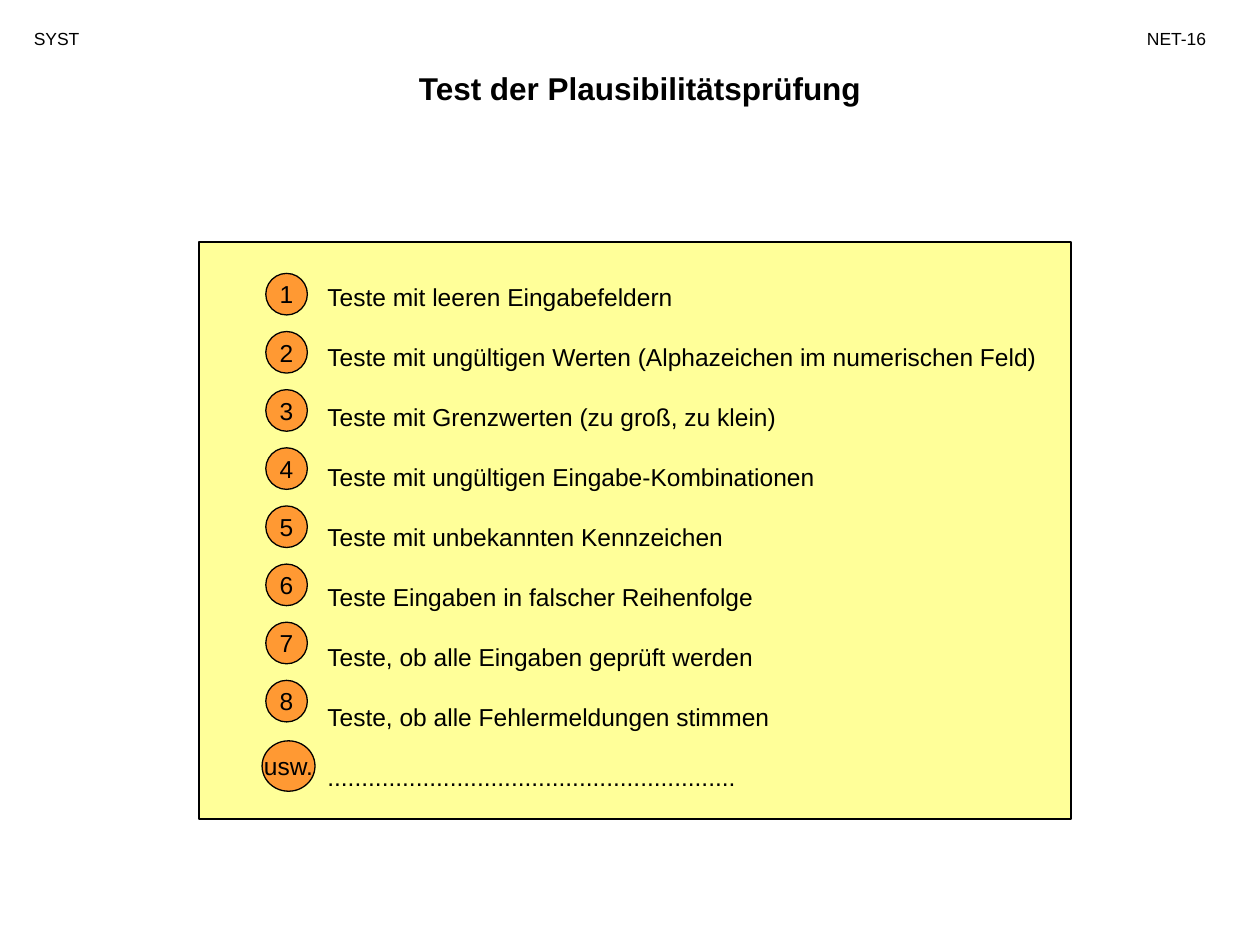
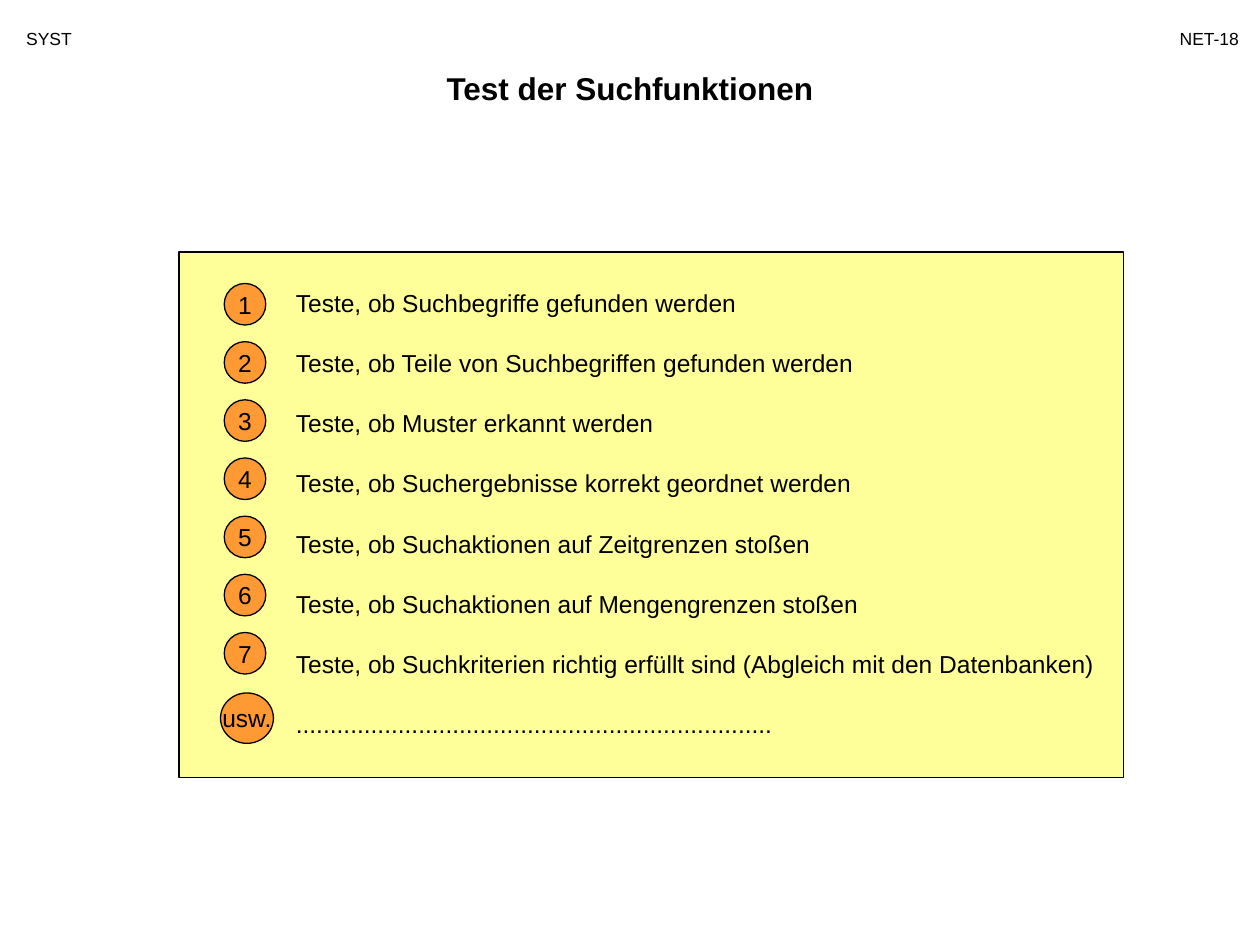
import pptx
import pptx.util
import pptx.dml.color
import pptx.enum.shapes
import pptx.enum.text

Inches = pptx.util.Inches
Pt = pptx.util.Pt
RGBColor = pptx.dml.color.RGBColor
ALIGN = pptx.enum.text.PP_ALIGN
SHAPE = pptx.enum.shapes.MSO_SHAPE

CHECKLISTS = [
    {
        "title": "Test der Plausibilitätsprüfung",
        "course": "SYST",
        "page": "NET-16",
        "tests": [
            "Teste mit leeren Eingabefeldern",
            "Teste mit ungültigen Werten (Alphazeichen im numerischen Feld)",
            "Teste mit Grenzwerten (zu groß, zu klein)",
            "Teste mit ungültigen Eingabe-Kombinationen",
            "Teste mit unbekannten Kennzeichen",
            "Teste Eingaben in falscher Reihenfolge",
            "Teste, ob alle Eingaben geprüft werden",
            "Teste, ob alle Fehlermeldungen stimmen",
            "............................................................",
        ],
        "title_box": (2.08, 0.5, 6, 0.4),
        "course_box": (0.17, 0.17, 0.92, 0.27),
        "page_box": (8.67, 0.17, 1, 0.27),
        "panel": (1.58, 1.92, 6.92, 4.58),
        "tests_box": (2.5, 2.19, 6, 4.07),
        "badge_left": 2.11,
        "badge_tops": (2.17, 5.4),
    },
    {
        "title": "Test der Suchfunktionen",
        "course": "SYST",
        "page": "NET-18",
        "tests": [
            "Teste, ob Suchbegriffe gefunden werden",
            "Teste, ob Teile von Suchbegriffen gefunden werden",
            "Teste, ob Muster erkannt werden",
            "Teste, ob Suchergebnisse korrekt geordnet werden",
            "Teste, ob Suchaktionen auf Zeitgrenzen stoßen",
            "Teste, ob Suchaktionen auf Mengengrenzen stoßen",
            "Teste, ob Suchkriterien richtig erfüllt sind (Abgleich mit den Datenbanken)",
            "......................................................................",
        ],
        "title_box": (1.25, 0.5, 7.5, 0.4),
        "course_box": (0.11, 0.17, 1.15, 0.27),
        "page_box": (8.78, 0.17, 1.15, 0.27),
        "panel": (1.42, 2, 7.5, 4.17),
        "tests_box": (2.25, 2.24, 6.67, 3.6),
        "badge_left": 1.78,
        "badge_tops": (2.25, 5.02),
    },
]

FONT = "Arial"
BLACK = RGBColor(0x00, 0x00, 0x00)
YELLOW = RGBColor(0xFF, 0xFF, 0x99)
ORANGE = RGBColor(0xFF, 0x99, 0x33)
TITLE_SIZE, HEADER_SIZE, BODY_SIZE = 18, 10, 14
TEST_GAP = 17.5
BADGE_SIZE = 0.33
MORE_LABEL = "usw."
MORE_WIDTH, MORE_HEIGHT = 0.42, 0.4
MORE_SHIFT, MORE_STEP = 0.03, 0.48


def inches(box):
    return [Inches(length) for length in box]


def add_run(paragraph, text, size, alignment=ALIGN.LEFT, bold=False):
    paragraph.alignment = alignment
    run = paragraph.add_run()
    run.text = text
    run.font.name = FONT
    run.font.size = Pt(size)
    run.font.bold = bold
    run.font.color.rgb = BLACK


def add_text(slide, box, lines, size, alignment=ALIGN.LEFT, bold=False):
    frame = slide.shapes.add_textbox(*inches(box)).text_frame
    frame.word_wrap = True
    for index, line in enumerate(lines):
        paragraph = frame.add_paragraph() if index else frame.paragraphs[0]
        if index:
            paragraph.space_before = Pt(TEST_GAP)
        add_run(paragraph, line, size, alignment, bold)


def add_filled_shape(slide, kind, box, color):
    shape = slide.shapes.add_shape(kind, *inches(box))
    shape.shadow.inherit = False
    shape.fill.solid()
    shape.fill.fore_color.rgb = color
    shape.line.color.rgb = BLACK
    shape.line.width = Pt(0.75)
    return shape


def add_badge(slide, box, label):
    frame = add_filled_shape(slide, SHAPE.OVAL, box, ORANGE).text_frame
    frame.word_wrap = False
    frame.vertical_anchor = pptx.enum.text.MSO_ANCHOR.MIDDLE
    add_run(frame.paragraphs[0], label, BODY_SIZE, ALIGN.CENTER)


def add_badges(slide, checklist):
    left = checklist["badge_left"]
    first, last = checklist["badge_tops"]
    count = len(checklist["tests"]) - 1
    step = (last - first) / (count - 1)
    for index in range(count):
        box = (left, first + index * step, BADGE_SIZE, BADGE_SIZE)
        add_badge(slide, box, str(index + 1))
    more_box = (left - MORE_SHIFT, last + MORE_STEP, MORE_WIDTH, MORE_HEIGHT)
    add_badge(slide, more_box, MORE_LABEL)


def add_checklist(presentation, checklist):
    slide = presentation.slides.add_slide(presentation.slide_layouts[6])
    add_filled_shape(slide, SHAPE.RECTANGLE, checklist["panel"], YELLOW)
    add_text(slide, checklist["title_box"], [checklist["title"]], TITLE_SIZE, ALIGN.CENTER, True)
    add_text(slide, checklist["course_box"], [checklist["course"]], HEADER_SIZE)
    add_text(slide, checklist["page_box"], [checklist["page"]], HEADER_SIZE, ALIGN.RIGHT)
    add_text(slide, checklist["tests_box"], checklist["tests"], BODY_SIZE)
    add_badges(slide, checklist)


def main():
    presentation = pptx.Presentation()
    presentation.slide_width = Inches(10)
    presentation.slide_height = Inches(7.5)
    for checklist in CHECKLISTS:
        add_checklist(presentation, checklist)
    presentation.save("out.pptx")


if __name__ == "__main__":
    main()
